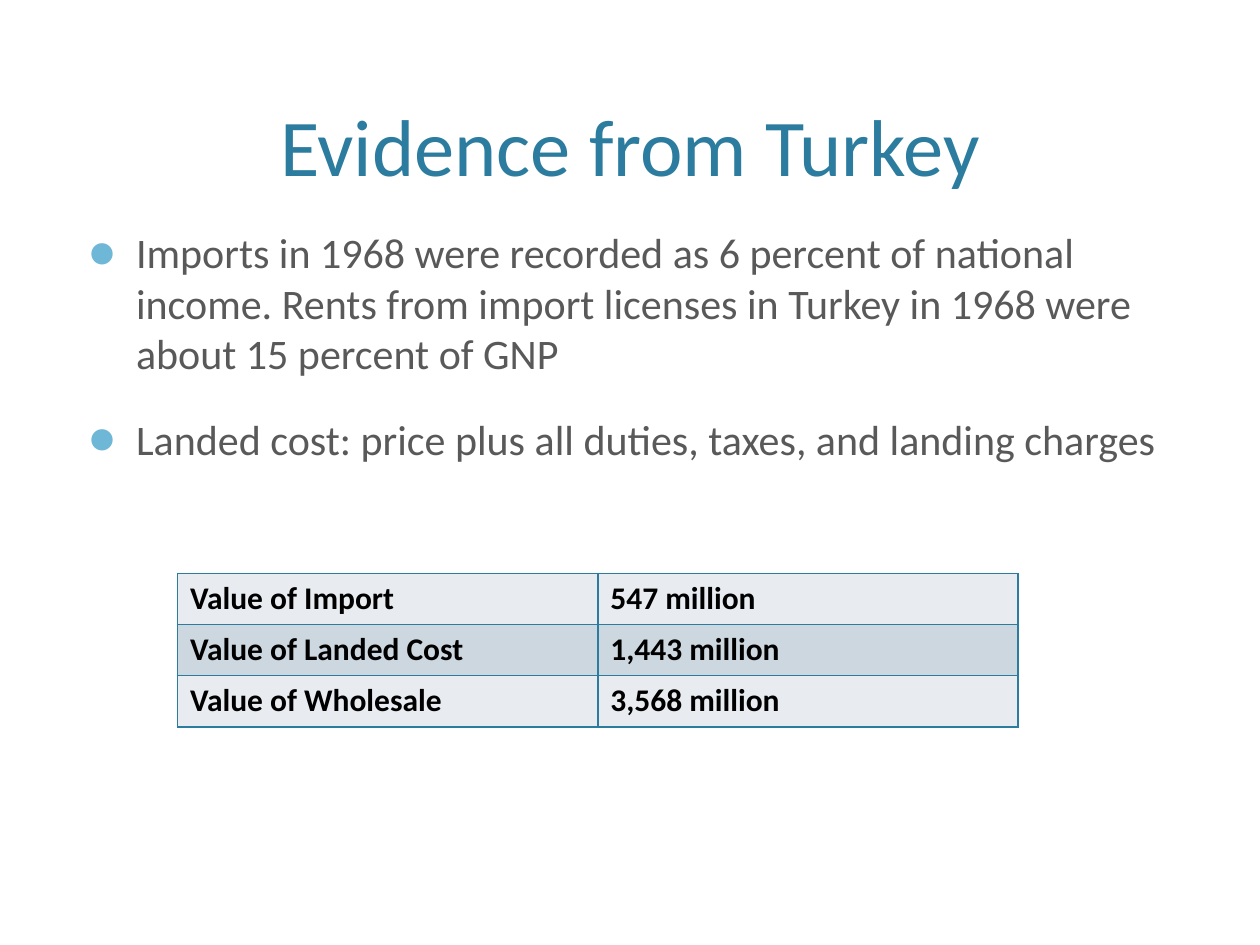
from dataclasses import dataclass

from lxml import etree
from pptx import Presentation
from pptx.dml.color import RGBColor
from pptx.enum import text
from pptx.oxml import ns
from pptx.util import Inches, Pt

TEAL = RGBColor(0x2C, 0x7C, 0x9F)
SKY = RGBColor(0x6F, 0xB7, 0xD7)
GRAY = RGBColor(0x59, 0x59, 0x59)
BLACK = RGBColor(0, 0, 0)
BANDS = (RGBColor(0xE8, 0xEC, 0xF0), RGBColor(0xCD, 0xD7, 0xDF))
FONT = "Calibri"


@dataclass
class ValueRow:
    label: str
    amount: str


BULLETS = (
    "Imports in 1968 were recorded as 6 percent of national income. "
    "Rents from import licenses in Turkey in 1968 were about 15 percent of GNP",
    "Landed cost: price plus all duties, taxes, and landing charges",
)
VALUES = (
    ValueRow("Value of Import", "547 million"),
    ValueRow("Value of Landed Cost", "1,443 million"),
    ValueRow("Value of Wholesale", "3,568 million"),
)


def write(para, content: str, *, size: float, color: RGBColor,
          bold: bool = False, align=text.PP_ALIGN.LEFT, before: float = 0) -> None:
    para.alignment = align
    para.space_before = Pt(before)
    span = para.add_run()
    span.text = content
    span.font.name = FONT
    span.font.size = Pt(size)
    span.font.bold = bold
    span.font.color.rgb = color


def add_element(parent, tag: str, **attributes: str):
    return etree.SubElement(parent, ns.qn(tag), attributes)


def add_bullet(para) -> None:
    properties = para._p.get_or_add_pPr()
    properties.set("marL", str(Inches(0.38)))
    properties.set("indent", str(-Inches(0.38)))
    add_element(add_element(properties, "a:buClr"), "a:srgbClr", val=str(SKY))
    add_element(properties, "a:buSzPct", val="110000")
    add_element(properties, "a:buFont", typeface=FONT)
    add_element(properties, "a:buChar", char="●")


def add_borders(cell, color: RGBColor, width: float) -> None:
    properties = cell._tc.get_or_add_tcPr()
    for index, side in enumerate(("a:lnL", "a:lnR", "a:lnT", "a:lnB")):
        line = etree.Element(ns.qn(side), w=str(Pt(width)))
        add_element(add_element(line, "a:solidFill"), "a:srgbClr", val=str(color))
        properties.insert(index, line)


def place(box, left: float, top: float, width: float, height: float, anchor):
    box.left, box.top = Inches(left), Inches(top)
    box.width, box.height = Inches(width), Inches(height)
    frame = box.text_frame
    frame.word_wrap = True
    frame.auto_size = text.MSO_AUTO_SIZE.NONE
    frame.vertical_anchor = anchor
    return frame


def add_values(page, rows: tuple[ValueRow, ...]) -> None:
    table = page.shapes.add_table(len(rows), 2, Inches(1.41), Inches(4.55),
                                  Inches(6.67), Inches(1.22)).table
    table.first_row = False
    for index, row in enumerate(rows):
        for cell, content in zip(table.rows[index].cells, (row.label, row.amount)):
            cell.fill.solid()
            cell.fill.fore_color.rgb = BANDS[index % 2]
            add_borders(cell, TEAL, 1)
            write(cell.text_frame.paragraphs[0], content,
                  size=18, color=BLACK, bold=True)


deck = Presentation()
deck.slide_width, deck.slide_height = Inches(10), Inches(7.5)
page = deck.slides.add_slide(deck.slide_layouts[1])

title = place(page.shapes.title, 0.6, 0.12, 8.8, 1.46, text.MSO_ANCHOR.BOTTOM)
write(title.paragraphs[0], "Evidence from Turkey", size=46, color=TEAL,
      align=text.PP_ALIGN.CENTER)

body = place(page.placeholders[1], 0.6, 1.75, 8.8, 4.75, text.MSO_ANCHOR.TOP)
for index, content in enumerate(BULLETS):
    para = body.add_paragraph() if index else body.paragraphs[0]
    write(para, content, size=24, color=GRAY, before=20)
    add_bullet(para)

add_values(page, VALUES)
deck.save("out.pptx")
